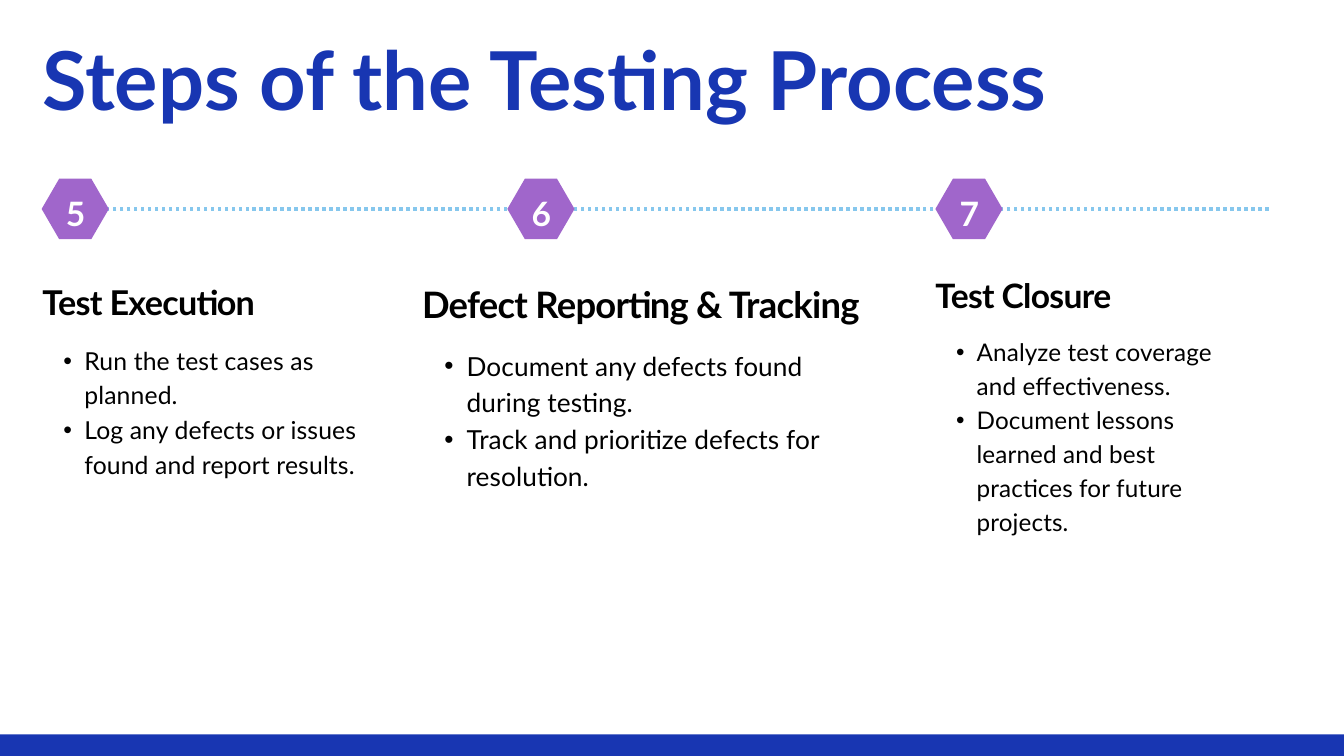
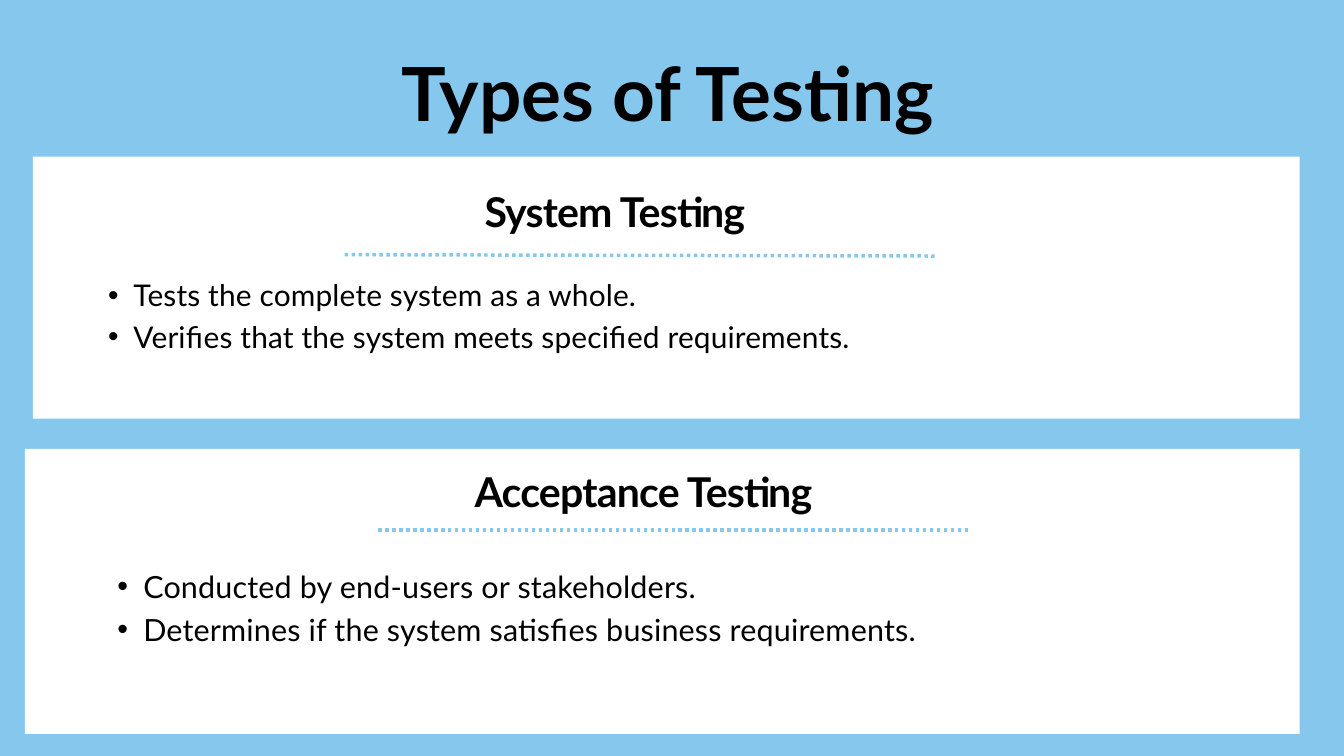
from lxml import etree
from pptx import Presentation
from pptx import util as u
from pptx.dml.color import RGBColor
from pptx.enum import dml, shapes, text
from pptx.oxml.ns import qn

FONT = "Lato"
BLUE, SKY, PURPLE, BLACK, WHITE = "1836B2", "86C7ED", "A066CB", "000000", "FFFFFF"
LEFT, CENTER = text.PP_ALIGN.LEFT, text.PP_ALIGN.CENTER
COMPARISON_LAYOUT = 4  # title, then heading and list twice


def color(value):
    return RGBColor.from_string(value)


def inches(*lengths):
    return [u.Inches(length) for length in lengths]


class Composer:
    def __init__(self):
        self.deck = Presentation()
        self.deck.slide_width, self.deck.slide_height = inches(20, 11.25)

    def new_page(self, background):
        self.page = self.deck.slides.add_slide(self.deck.slide_layouts[COMPARISON_LAYOUT])
        self.page.background.fill.solid()
        self.page.background.fill.fore_color.rgb = color(background)
        self.free_bodies = list(self.page.placeholders)[1:]

    def body_box(self):
        """Take the next unused body placeholder, or a text box when none is left."""
        if self.free_bodies:
            return self.free_bodies.pop(0)
        return self.page.shapes.add_textbox(*inches(0, 0, 1, 1))

    def fill_box(self, box, area, lines, size, leading, tint=BLACK, align=LEFT,
                 bold=True, tracking=0.0, bullets=False):
        """Place and style text; leading and tracking are fractions of the font size."""
        box.element.getparent().append(box.element)  # bring to front
        box.left, box.top, box.width, box.height = inches(*area)
        frame = box.text_frame
        frame.text = "\n".join(lines)
        frame.word_wrap = True
        frame.auto_size = text.MSO_AUTO_SIZE.NONE
        frame.vertical_anchor = text.MSO_ANCHOR.TOP
        frame.margin_left = frame.margin_top = frame.margin_right = frame.margin_bottom = 0
        for para in frame.paragraphs:
            para.alignment = align
            para.line_spacing = u.Pt(size * leading)
            para.space_before = para.space_after = u.Pt(0)
            if bullets:
                self.add_bullet(para, size)
            font = para.font
            font.name, font.size, font.bold = FONT, u.Pt(size), bold
            font.color.rgb = color(tint)
            defaults = para._p.pPr.find(qn("a:defRPr"))
            defaults.set("spc", str(round(size * tracking * 100)))

    def add_bullet(self, para, size):
        indent = u.Pt(size * 1.7)
        properties = para._p.get_or_add_pPr()
        properties.set("marL", str(indent))
        properties.set("indent", str(-indent // 2))
        etree.SubElement(properties, qn("a:buFont")).set("typeface", "Arial")
        etree.SubElement(properties, qn("a:buChar")).set("char", "•")

    def title(self, area, words, size, tint, align):
        self.fill_box(self.page.shapes.title, area, [words], size, 1.1, tint, align)

    def heading(self, area, words, size, align=LEFT):
        self.fill_box(self.body_box(), area, [words], size, 1.3, align=align, tracking=-0.02)

    def bullet_list(self, area, lines, size):
        self.fill_box(self.body_box(), area, lines, size, 1.4, bold=False,
                      tracking=0.005, bullets=True)

    def block(self, area, fill, kind=shapes.MSO_SHAPE.RECTANGLE):
        shape = self.page.shapes.add_shape(kind, *inches(*area))
        shape.shadow.inherit = False
        shape.fill.solid()
        shape.fill.fore_color.rgb = color(fill)
        shape.line.fill.background()
        return shape

    def number_badge(self, left, number):
        top = 2.66
        hexagon = self.block((left, top, 1, 0.9), PURPLE, shapes.MSO_SHAPE.HEXAGON)
        hexagon.adjustments[0] = 0.29
        label = self.page.shapes.add_textbox(*inches(0, 0, 1, 1))
        self.fill_box(label, (left + 0.12, top + 0.16, 0.77, 0.63), [number], 36, 1.3,
                      WHITE, CENTER, tracking=-0.02)

    def dotted_line(self, start, end):
        line = self.page.shapes.add_connector(
            shapes.MSO_CONNECTOR.STRAIGHT, *inches(*start, *end))
        line.line.color.rgb = color(SKY)
        line.line.width = u.Pt(3.75)
        line.line.dash_style = dml.MSO_LINE.ROUND_DOT
        etree.SubElement(line.element.spPr, qn("a:effectLst"))


def build_steps(composer):
    composer.new_page(WHITE)
    composer.dotted_line((18.88, 3.11), (1.12, 3.11))
    # number, badge left, column left, column width, heading top and size, list top and size
    steps = [
        ("5", 0.62, 0.63, 4.98, 4.14, 36.6, 5.07, 26.5, "Test Execution",
         ["Run the test cases as planned.",
          "Log any defects or issues found and report results."]),
        ("6", 7.55, 6.28, 6.86, 4.14, 39, 5.13, 28.1, "Defect Reporting & Tracking",
         ["Document any defects found during testing.",
          "Track and prioritize defects for resolution."]),
        ("7", 13.92, 13.92, 4.64, 4.04, 36, 4.95, 26, "Test Closure",
         ["Analyze test coverage and effectiveness.",
          "Document lessons learned and best practices for future projects."]),
    ]
    for (number, badge_left, left, width, heading_top, heading_size,
         list_top, list_size, name, lines) in steps:
        composer.heading((left, heading_top, width, 0.65), name, heading_size)
        composer.bullet_list((left, list_top, width, 3), lines, list_size)
        composer.number_badge(badge_left, number)
    composer.block((0, 10.93, 20, 0.32), BLUE)
    composer.title((0.63, 0.56, 18.12, 2.67), "Steps of the Testing Process", 87, BLUE, LEFT)


def build_types(composer):
    composer.new_page(SKY)
    composer.title((1.57, 0.81, 16.73, 1.26), "Types of Testing", 80, BLACK, CENTER)
    # panel, heading area, line start and end, list area and size
    types_of_testing = [
        ((0.49, 2.33, 18.85, 3.9), (5.96, 2.72, 6.38, 0.78), (13.91, 3.81), (5.09, 3.79),
         (1.23, 4.03, 17.22, 1.73), 32, "System Testing",
         ["Tests the complete system as a whole.",
          "Verifies that the system meets specified requirements."]),
        ((0.37, 6.68, 18.97, 4.24), (5.96, 6.88, 7.23, 0.78), (14.41, 7.89), (5.59, 7.89),
         (1.36, 8.36, 16.95, 1.88), 32.7, "Acceptance Testing",
         ["Conducted by end-users or stakeholders.",
          "Determines if the system satisfies business requirements."]),
    ]
    for panel, heading_area, start, end, list_area, list_size, name, lines in types_of_testing:
        composer.block(panel, WHITE)
        composer.heading(heading_area, name, 44, CENTER)
        composer.dotted_line(start, end)
        composer.bullet_list(list_area, lines, list_size)


def main():
    composer = Composer()
    build_steps(composer)
    build_types(composer)
    composer.deck.save("out.pptx")


if __name__ == "__main__":
    main()
